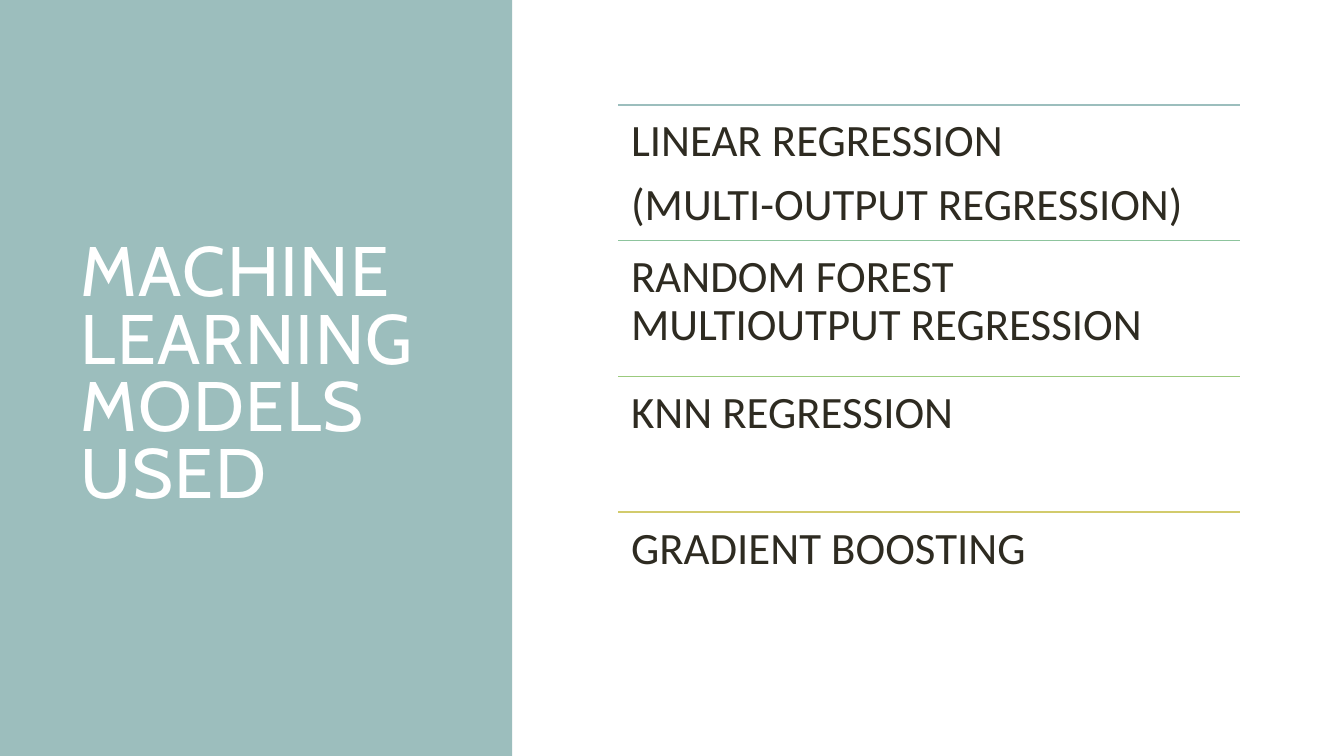
from pptx import Presentation
from pptx.dml.color import RGBColor
from pptx.enum.shapes import MSO_CONNECTOR, MSO_SHAPE
from pptx.enum.text import MSO_ANCHOR, MSO_AUTO_SIZE, PP_ALIGN
from pptx.oxml.ns import qn
from pptx.util import Inches, Pt

TITLE = "MACHINE LEARNING MODELS USED"
MODELS = [
    ("9CBEBD", ["LINEAR REGRESSION", "(MULTI-OUTPUT REGRESSION)"]),
    ("8DC49D", ["RANDOM FOREST MULTIOUTPUT REGRESSION"]),
    ("9BCA7D", ["KNN REGRESSION"]),
    ("D2CB6C", ["GRADIENT BOOSTING"]),
]
WIDE, HIGH = 13.33, 7.5
PANEL = 5.08
LEFT, TOP, SPAN, ROW = 6.13, 1.04, 6.17, 1.347
PAD = Inches(0.13)


def tint(text):
    return RGBColor.from_string(text)


def style(par, font, size, color, lead):
    par.alignment = PP_ALIGN.LEFT
    par.line_spacing = lead
    for run in par.runs:
        run.font.name = font
        run.font.size = Pt(size)
        run.font.color.rgb = tint(color)


def add_panel(slide):
    panel = slide.shapes.add_shape(
        MSO_SHAPE.RECTANGLE, 0, 0, Inches(PANEL), Inches(HIGH))
    panel.shadow.inherit = False
    panel.fill.solid()
    panel.fill.fore_color.rgb = tint("9CBEBD")
    panel.line.fill.background()
    slide.shapes._spTree.insert(2, panel._element)


def add_title(slide):
    title = slide.shapes.title
    title.left, title.top = Inches(0.7), Inches(0.7)
    title.width, title.height = Inches(3.74), Inches(6.09)
    frame = title.text_frame
    frame.text = TITLE
    frame.word_wrap = True
    frame.auto_size = MSO_AUTO_SIZE.NONE
    frame.vertical_anchor = MSO_ANCHOR.MIDDLE
    par = frame.paragraphs[0]
    style(par, "Cabin", 50, "FFFFFF", 0.8)
    par.runs[0].font._element.set("spc", "100")


def add_rule(slide, top, color):
    rule = slide.shapes.add_connector(
        MSO_CONNECTOR.STRAIGHT, Inches(LEFT), Inches(top),
        Inches(LEFT + SPAN), Inches(top))
    rule.line.color.rgb = tint(color)
    rule.line.width = Pt(1.25)
    props = rule._element.spPr
    props.append(props.makeelement(qn("a:effectLst"), {}))


def add_model(slide, top, lines):
    box = slide.shapes.add_textbox(
        Inches(LEFT), Inches(top), Inches(SPAN), Inches(ROW))
    frame = box.text_frame
    frame.word_wrap = True
    frame.margin_left = frame.margin_right = PAD
    frame.margin_top = frame.margin_bottom = PAD
    frame.text = "\n".join(lines)
    for par in frame.paragraphs:
        style(par, "Calibri", 32, "2E2B21", 0.9)
        par.space_after = Pt(11)


def main():
    deck = Presentation()
    deck.slide_width, deck.slide_height = Inches(WIDE), Inches(HIGH)
    slide = deck.slides.add_slide(deck.slide_layouts[5])
    add_panel(slide)
    add_title(slide)
    for row, (color, lines) in enumerate(MODELS):
        top = TOP + row * ROW
        add_rule(slide, top, color)
        add_model(slide, top, lines)
    deck.save("out.pptx")


if __name__ == "__main__":
    main()
